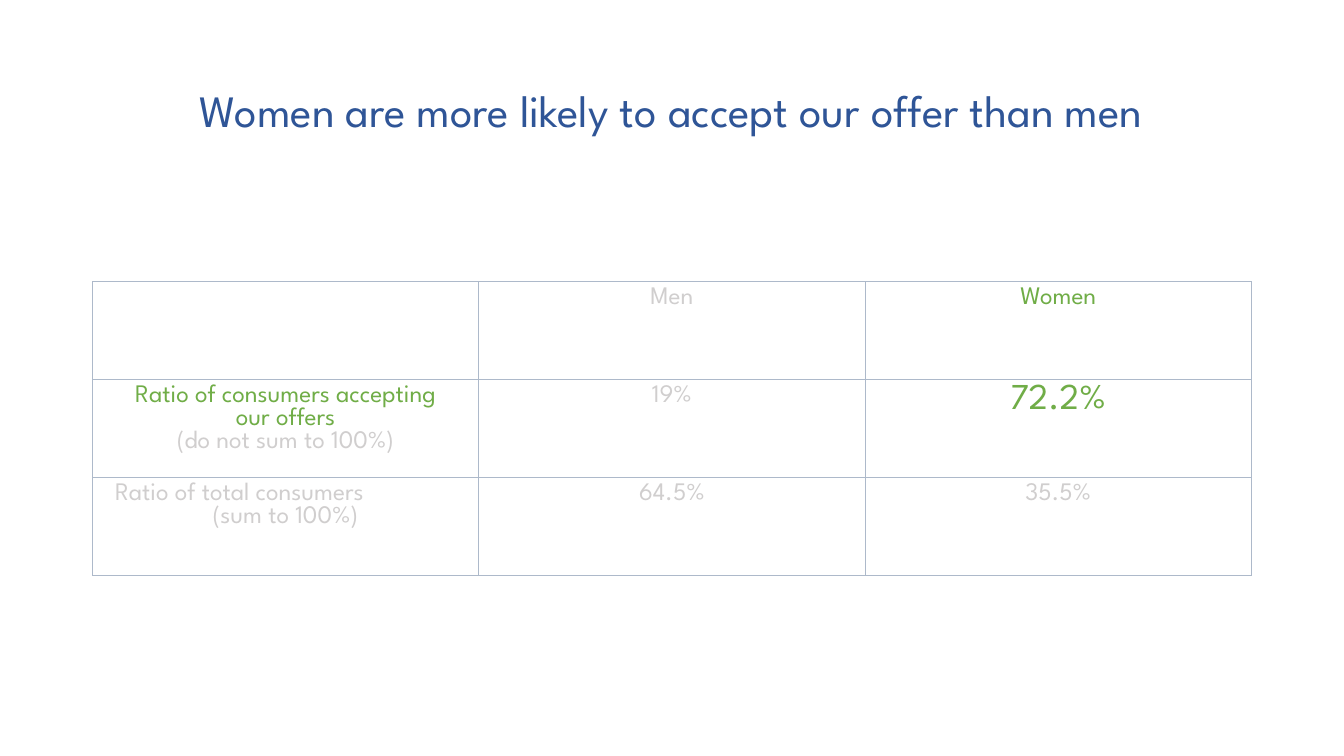
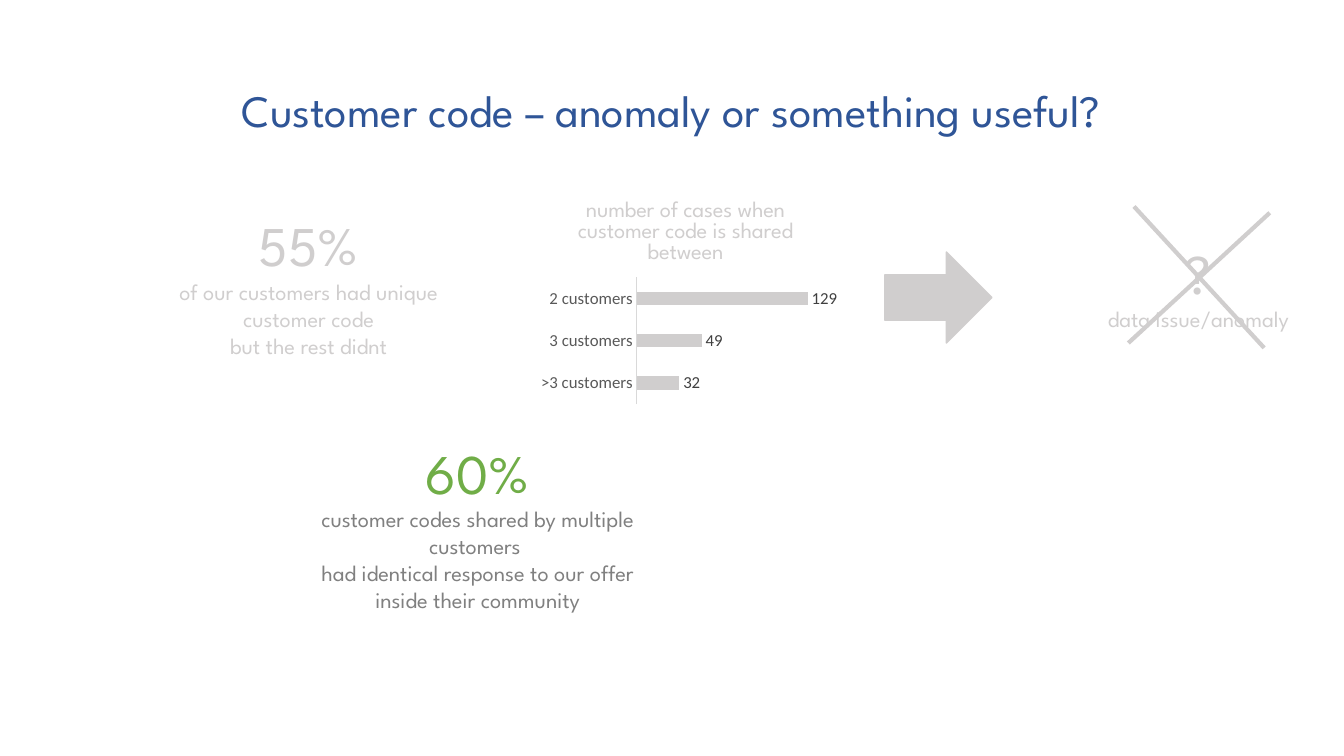
"""Build two slides on offer acceptance and shared customer codes."""
from lxml import etree
from pptx import Presentation
from pptx.chart.data import CategoryChartData
from pptx.dml.color import RGBColor
from pptx.enum import chart as charts, shapes, text
from pptx.oxml import ns
from pptx.util import Pt

COLORS = {"title": "2F5597", "muted": "D0CECE", "accent": "70AD47", "body": "808080",
          "border": "ADB9CA", "axis": "D9D9D9", "category": "595959", "value": "404040"}
HEADING_FONT, CHART_FONT = "League Spartan", "Calibri"
CENTER, LEFT = text.PP_ALIGN.CENTER, text.PP_ALIGN.LEFT

TABLE_TITLE = "Women are more likely to accept our offer than men"
TABLE_AREA = (66, 201, 828, 210)
TABLE_ROWS = [
    [[], [("Men", 18, "muted")], [("Women", 18, "accent")]],
    [[("Ratio of consumers accepting", 18, "accent"), ("our offers", 18, "accent"),
      ("(do not sum to 100%)", 18, "muted")],
     [("19%", 18, "muted")], [("72.2%", 26, "accent")]],
    [[("Ratio of total consumers", 18, "muted"), ("(sum to 100%)", 18, "muted")],
     [("64.5%", 18, "muted")], [("35.5%", 18, "muted")]],
]

CODE_TITLE = "Customer code – anomaly or something useful?"
CALLOUTS = [
    ((103.5, 147, 234, 114), [("55%", 40, "muted"), ("of our customers had unique", 16, "muted"),
                              ("customer code", 16, "muted"), ("but the rest didnt", 16, "muted")]),
    ((764, 166.5, 184, 75), [("?", 40, "muted"), ("data issue/anomaly", 16, "muted")]),
    ((222.5, 309.5, 237.5, 133), [
        ("60%", 40, "accent"), ("customer codes shared by multiple customers ", 16, "body"),
        ("had identical response to our offer inside their community", 16, "body")]),
]
CHART_AREA = (384, 133, 215, 159)
CHART_TITLE = "number of cases when customer code is shared between"
SHARED_CODES = {">3 customers": 32, "3 customers": 49, "2 customers": 129}
ARROW_AREA = (632, 180, 76.5, 65)
CROSS_LINES = [((907, 152), (806, 245)), ((903, 248.5), (810, 147.5))]


def points(values):
    return [Pt(value) for value in values]


def color(name):
    return RGBColor.from_string(COLORS[name])


def style_font(font, size, color_name, name=HEADING_FONT):
    font.name, font.size, font.bold = name, Pt(size), False
    font.color.rgb = color(color_name)


def write_lines(frame, lines, spacing=None):
    frame.word_wrap = True
    frame.text = "\n".join(line for line, _, _ in lines)
    for paragraph, (_, size, color_name) in zip(frame.paragraphs, lines):
        paragraph.alignment, paragraph.line_spacing = CENTER, spacing
        for run in paragraph.runs:
            style_font(run.font, size, color_name)


def add_text(slide, area, lines, spacing=None):
    frame = slide.shapes.add_textbox(*points(area)).text_frame
    write_lines(frame, lines, spacing)
    return frame


def add_titled_slide(presentation, title):
    slide = presentation.slides.add_slide(presentation.slide_layouts[6])
    frame = add_text(slide, (66, 29, 828, 104), [(title, 32, "title")], 0.9)
    frame.vertical_anchor = text.MSO_ANCHOR.MIDDLE
    return slide


def add_borders(cell):
    properties = cell._tc.get_or_add_tcPr()
    for position, side in enumerate(("lnL", "lnR", "lnT", "lnB")):
        line = etree.Element(ns.qn(f"a:{side}"), w=str(Pt(0.5)))
        fill = etree.SubElement(line, ns.qn("a:solidFill"))
        etree.SubElement(fill, ns.qn("a:srgbClr"), val=COLORS["border"])
        properties.insert(position, line)


def add_ratio_table(slide):
    table = slide.shapes.add_table(len(TABLE_ROWS), len(TABLE_ROWS[0]), *points(TABLE_AREA)).table
    table.first_row = table.horz_banding = False
    for row, contents in enumerate(TABLE_ROWS):
        for column, lines in enumerate(contents):
            cell = table.cell(row, column)
            cell.fill.background()
            cell.margin_bottom = Pt(0)
            write_lines(cell.text_frame, lines)
            add_borders(cell)
    total_label = table.cell(2, 0).text_frame.paragraphs[0]
    total_label.alignment = LEFT
    total_label._p.get_or_add_pPr().set("marL", str(Pt(9)))


def make_layout(**values):
    layout = etree.Element(ns.qn("c:layout"))
    manual = etree.SubElement(layout, ns.qn("c:manualLayout"))
    for name, value in values.items():
        etree.SubElement(manual, ns.qn(f"c:{name}"), val=str(value))
    return layout


def set_chart_layout(chart):
    title = chart.chart_title._element
    plot_area = chart._chartSpace.chart.plotArea
    for old in title.findall(ns.qn("c:layout")) + plot_area.findall(ns.qn("c:layout")):
        old.getparent().remove(old)
    title.find(ns.qn("c:tx")).addnext(make_layout(xMode="edge", yMode="edge", x=0.12, y=0.04))
    plot_area.insert(0, make_layout(layoutTarget="inner", xMode="edge", yMode="edge",
                                    x=0.33, y=0.41, w=0.66, h=0.57))


def add_shared_code_chart(slide):
    data = CategoryChartData()
    data.categories = list(SHARED_CODES)
    data.add_series("Series 1", list(SHARED_CODES.values()))
    chart = slide.shapes.add_chart(charts.XL_CHART_TYPE.BAR_CLUSTERED,
                                   *points(CHART_AREA), data).chart
    chart.has_legend = False
    chart.font.name, chart.font.size = CHART_FONT, Pt(10)
    chart.has_title = True
    write_lines(chart.chart_title.text_frame, [(CHART_TITLE, 16, "muted")])
    chart.chart_title.include_in_layout = False

    plot = chart.plots[0]
    plot.gap_width, plot.vary_by_categories = 219, False
    fill = plot.series[0].format.fill
    fill.solid()
    fill.fore_color.rgb = color("muted")
    plot.has_data_labels = True
    labels = plot.data_labels
    labels.show_value, labels.position = True, charts.XL_LABEL_POSITION.OUTSIDE_END
    style_font(labels.font, 12, "value", CHART_FONT)

    axis = chart.category_axis
    axis.major_tick_mark = charts.XL_TICK_MARK.NONE
    style_font(axis.tick_labels.font, 12, "category", CHART_FONT)
    axis.format.line.color.rgb, axis.format.line.width = color("axis"), Pt(0.75)
    values = chart.value_axis
    values.visible = values.has_major_gridlines = False
    values.minimum_scale, values.maximum_scale = 0, 150
    set_chart_layout(chart)


def add_arrow(slide):
    arrow = slide.shapes.add_shape(shapes.MSO_SHAPE.RIGHT_ARROW, *points(ARROW_AREA))
    arrow.shadow.inherit = False
    arrow.fill.solid()
    arrow.fill.fore_color.rgb = arrow.line.color.rgb = color("muted")
    arrow.line.width = Pt(1)


def add_cross(slide):
    for start, end in CROSS_LINES:
        line = slide.shapes.add_connector(shapes.MSO_CONNECTOR.STRAIGHT, *points(start + end))
        line.line.color.rgb, line.line.width = color("muted"), Pt(3)
        etree.SubElement(line._element.spPr, ns.qn("a:effectLst"))


def main():
    presentation = Presentation()
    presentation.slide_width, presentation.slide_height = Pt(960), Pt(540)
    add_ratio_table(add_titled_slide(presentation, TABLE_TITLE))

    slide = add_titled_slide(presentation, CODE_TITLE)
    add_shared_code_chart(slide)
    for area, lines in CALLOUTS:
        add_text(slide, area, lines)
    add_arrow(slide)
    add_cross(slide)
    presentation.save("out.pptx")


if __name__ == "__main__":
    main()
